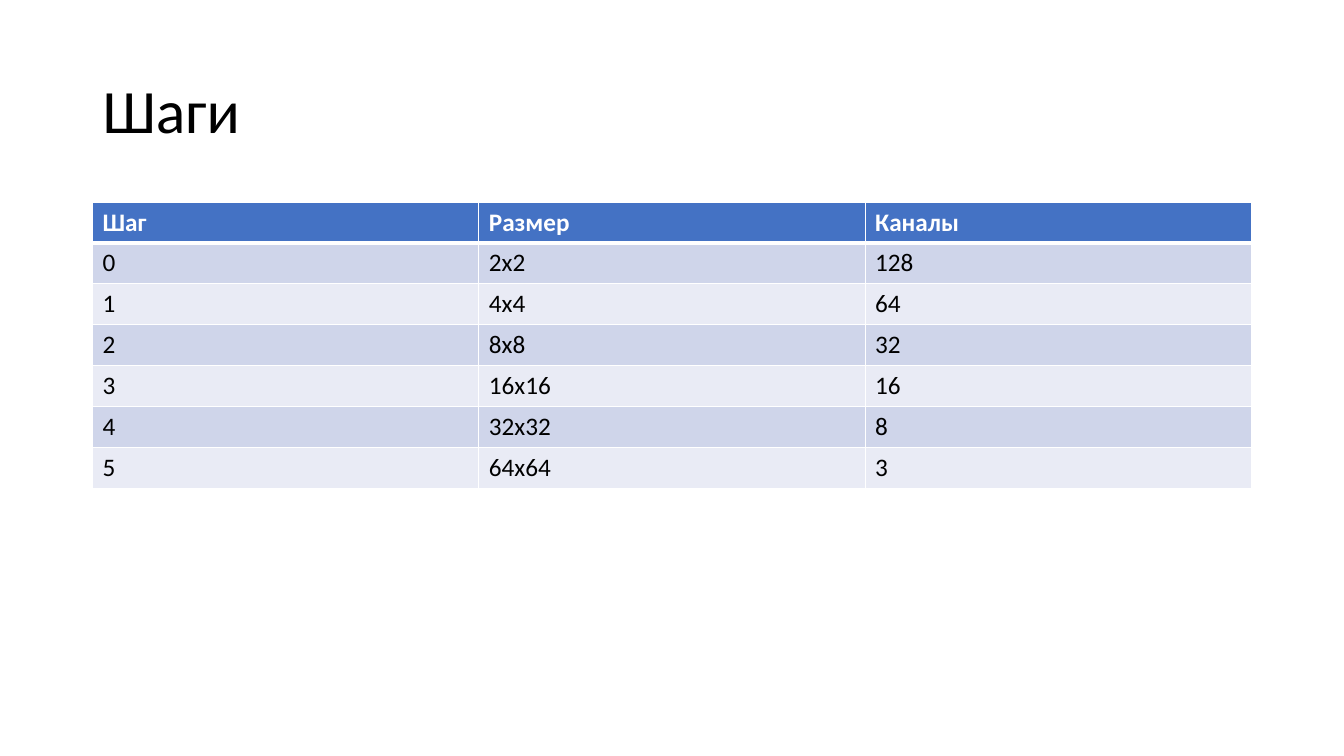
from pptx import Presentation
from pptx.dml.color import RGBColor
from pptx.enum.text import MSO_ANCHOR, PP_ALIGN
from pptx.oxml.ns import qn
from pptx.util import Cm, Pt
from lxml.etree import SubElement

FONT = "Calibri"
BLACK = RGBColor(0x00, 0x00, 0x00)
WHITE = RGBColor(0xFF, 0xFF, 0xFF)
HEADER_BLUE = RGBColor(0x44, 0x72, 0xC4)
BANDS = [RGBColor(0xE9, 0xEB, 0xF5), RGBColor(0xCF, 0xD5, 0xEA)]

LEFT, WIDTH = Cm(2.33), Cm(29.21)
ROW_HEIGHT = Cm(1.03)
STEPS = [
    ("Шаг", "Размер", "Каналы"),
    ("0", "2х2", "128"),
    ("1", "4х4", "64"),
    ("2", "8х8", "32"),
    ("3", "16х16", "16"),
    ("4", "32х32", "8"),
    ("5", "64х64", "3"),
]


def write_text(frame, text, size=18, color=BLACK, bold=False, spacing=1.0):
    para = frame.paragraphs[0]
    para.alignment = PP_ALIGN.LEFT
    para.line_spacing = spacing
    span = para.add_run()
    span.text = text
    span.font.name = FONT
    span.font.size = Pt(size)
    span.font.bold = bold
    span.font.color.rgb = color


def add_border(cell, side, width):
    properties = cell._tc.get_or_add_tcPr()
    line = SubElement(properties, qn(f"a:ln{side}"), w=str(Pt(width)))
    fill = SubElement(line, qn("a:solidFill"))
    SubElement(fill, qn("a:srgbClr"), val=str(WHITE))


def format_cell(cell, text, row):
    is_header = row == 0
    # The line between header and body is thicker
    widths = {"L": 1, "R": 1, "T": 3 if row == 1 else 1, "B": 3 if is_header else 1}
    for side, width in widths.items():
        add_border(cell, side, width)
    cell.fill.solid()
    cell.fill.fore_color.rgb = HEADER_BLUE if is_header else BANDS[row % 2]
    write_text(cell.text_frame, text, color=WHITE if is_header else BLACK, bold=is_header)


def add_title(page, text):
    title = page.shapes.title
    title.left, title.top, title.width, title.height = LEFT, Cm(1.01), WIDTH, Cm(3.68)
    title.text_frame.vertical_anchor = MSO_ANCHOR.MIDDLE
    write_text(title.text_frame, text, size=44, spacing=0.9)


def add_steps_table(page, rows):
    table = page.shapes.add_table(
        len(rows), len(rows[0]), LEFT, Cm(5.09), WIDTH, ROW_HEIGHT * len(rows)
    ).table
    for row, values in enumerate(rows):
        for column, text in enumerate(values):
            format_cell(table.cell(row, column), text, row)


def main():
    deck = Presentation()
    deck.slide_width, deck.slide_height = Cm(33.87), Cm(19.05)
    page = deck.slides.add_slide(deck.slide_layouts[5])  # title only
    add_title(page, "Шаги")
    add_steps_table(page, STEPS)
    deck.save("out.pptx")


if __name__ == "__main__":
    main()
